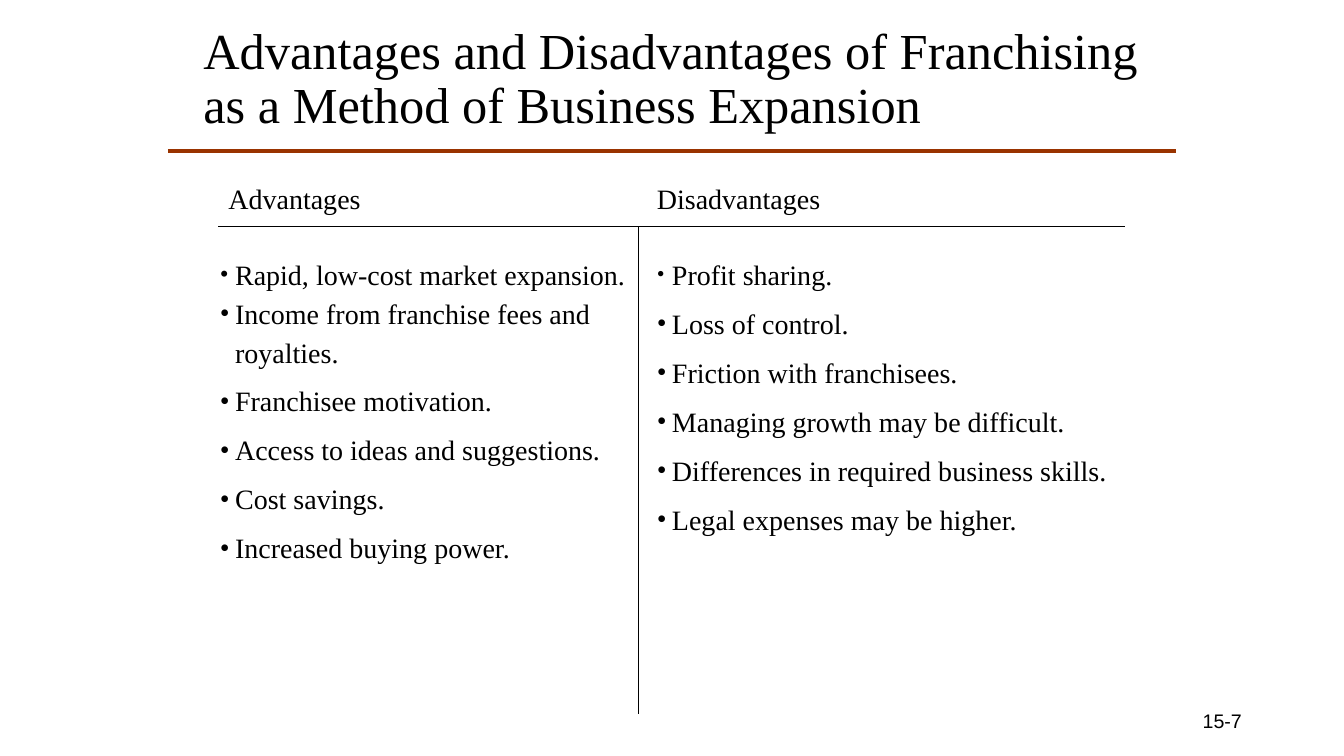
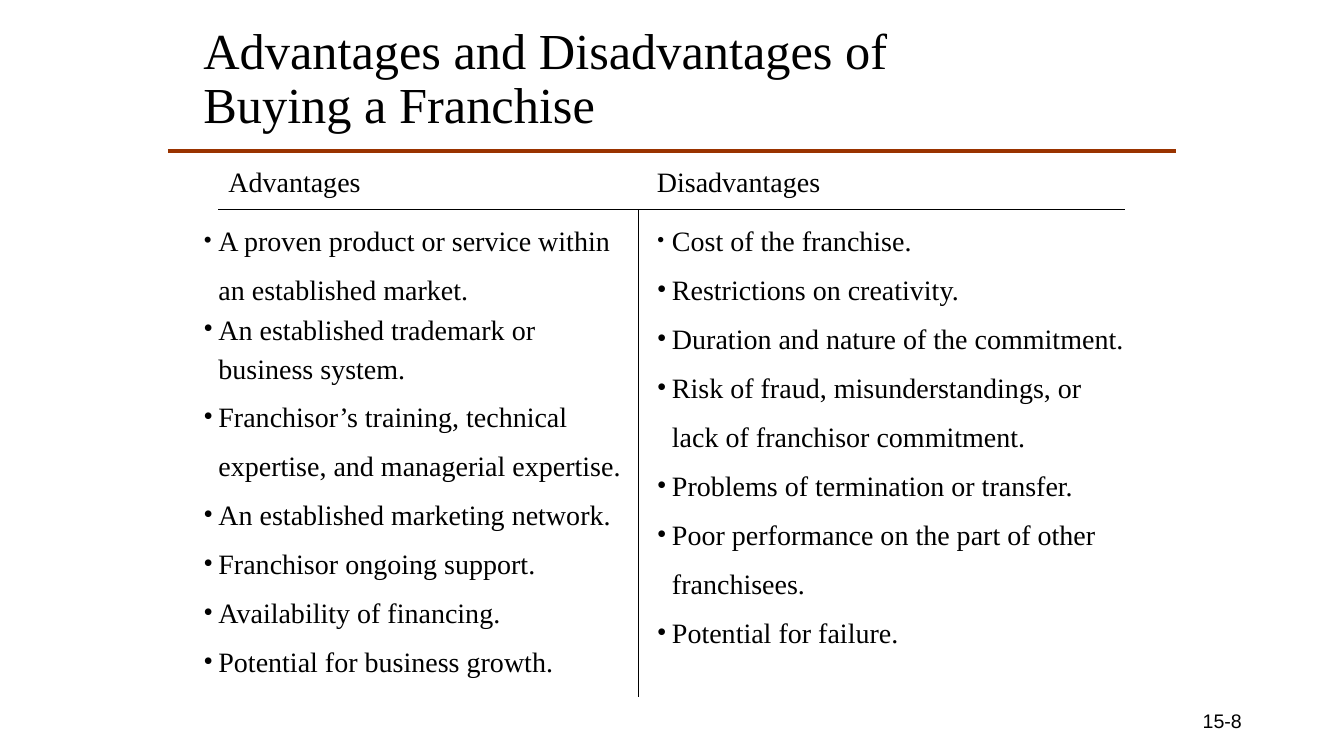
from lxml import etree
from pptx import Presentation
from pptx import util as u
from pptx.dml.color import RGBColor
from pptx.enum import shapes, text
from pptx.oxml.ns import qn

HUES = {"ink": "000000", "band": "993300"}
SERIF, SANS = "Times New Roman", "Arial"
HEADS = ("Advantages", "Disadvantages")
TIGHT = 0.7
HANG = 0.38
SPLIT = 16.09

PAGES = [
    {
        "title": "Advantages and Disadvantages of Franchising as a Method of Business Expansion",
        "number": "15-7",
        "rule": 5.71,
        "top": 6.35,
        "left": 5.29,
        "lists": (
            [
                ("Rapid, low-cost market expansion.",),
                ("Income from franchise fees and", "royalties."),
                ("Franchisee motivation.",),
                ("Access to ideas and suggestions.",),
                ("Cost savings.",),
                ("Increased buying power.",),
            ],
            [
                ("Profit sharing.",),
                ("Loss of control.",),
                ("Friction with franchisees.",),
                ("Managing growth may be difficult.",),
                ("Differences in required business skills.",),
                ("Legal expenses may be higher.",),
            ],
        ),
        "tight": ("Income from franchise fees and",),
    },
    {
        "title": "Advantages and Disadvantages of \vBuying a Franchise",
        "number": "15-8",
        "rule": 5.29,
        "top": 5.5,
        "left": 4.87,
        "lists": (
            [
                ("A proven product or service within", "an established market."),
                ("An established trademark or", "business system."),
                ("Franchisor’s training, technical", "expertise, and managerial expertise."),
                ("An established marketing network.",),
                ("Franchisor ongoing support.",),
                ("Availability of financing.",),
                ("Potential for business growth.",),
            ],
            [
                ("Cost of the franchise.",),
                ("Restrictions on creativity.",),
                ("Duration and nature of the commitment.",),
                ("Risk of fraud, misunderstandings, or", "lack of franchisor commitment."),
                ("Problems of termination or transfer.",),
                ("Poor performance on the part of other", "franchisees."),
                ("Potential for failure.",),
            ],
        ),
        "tight": ("An established trademark or",),
    },
]


def place(shape, left, top, width, height, anchor=text.MSO_ANCHOR.TOP):
    shape.left, shape.top = u.Cm(left), u.Cm(top)
    shape.width, shape.height = u.Cm(width), u.Cm(height)
    frame = shape.text_frame
    frame.word_wrap = True
    frame.auto_size = text.MSO_AUTO_SIZE.NONE
    frame.vertical_anchor = anchor
    return frame


def write(para, words, size=20, font=SERIF, hue="ink", align=text.PP_ALIGN.LEFT,
          space=1.0, before=0):
    para.text = words
    para.alignment = align
    para.line_spacing = space
    para.space_before = u.Pt(before)
    for run in para.runs:
        run.font.size = u.Pt(size)
        run.font.name = font
        run.font.bold = False
        run.font.color.rgb = RGBColor.from_string(HUES[hue])


def mark(para, shown, scale):
    props = para._p.get_or_add_pPr()
    props.set("marL", str(u.Cm(HANG)))
    props.set("indent", str(-u.Cm(HANG) if shown else 0))
    if not shown:
        etree.SubElement(props, qn("a:buNone"))
        return
    etree.SubElement(props, qn("a:buSzPct"), val=str(scale * 1000))
    etree.SubElement(props, qn("a:buFont"), typeface=SERIF)
    etree.SubElement(props, qn("a:buChar"), char="•")


def fill(frame, items, tight, scale):
    first = True
    for lines in items:
        space = TIGHT if lines[0] in tight else 1.0
        for row, words in enumerate(lines):
            para = frame.paragraphs[0] if first else frame.add_paragraph()
            mark(para, row == 0, scale if first else 100)
            write(para, words, space=space, before=0 if first else 11)
            first = False


def rule(slide, start, end, hue="ink", width=0.75):
    line = slide.shapes.add_connector(
        shapes.MSO_CONNECTOR.STRAIGHT, *(u.Cm(n) for n in start + end))
    line.line.color.rgb = RGBColor.from_string(HUES[hue])
    line.line.width = u.Pt(width)
    etree.SubElement(line._element.spPr, qn("a:effectLst"))


def build(deck, page):
    slide = deck.slides.add_slide(deck.slide_layouts.get_by_name("Comparison"))
    holders = slide.placeholders
    middle = text.MSO_ANCHOR.MIDDLE

    frame = place(slide.shapes.title, 4.87, 0.43, 24.34, 3.18, middle)
    write(frame.paragraphs[0], page["title"], size=36, space=0.9)

    box = slide.shapes.add_textbox(0, 0, 0, 0)
    frame = place(box, 23.93, 17.65, 7.62, 1.02, middle)
    write(frame.paragraphs[0], page["number"], size=14, font=SANS, align=text.PP_ALIGN.RIGHT)

    level = page["rule"]
    rule(slide, (4.23, 3.81), (29.63, 3.81), "band", 3)
    rule(slide, (5.5, level), (28.36, level))
    rule(slide, (SPLIT, level), (SPLIT, level + 12.28))

    left, right = page["left"], 16.3
    columns = ((5.5, left, SPLIT - left, 90), (right, right, 12.5, 80))
    for side, (head, start, width, scale) in enumerate(columns):
        frame = place(holders[1 + 2 * side], head, level - 1.27, 6.77, 1.11)
        write(frame.paragraphs[0], HEADS[side])
        frame = place(holders[2 + 2 * side], start, page["top"], width, 11.5)
        fill(frame, page["lists"][side], page["tight"], scale)


def main():
    deck = Presentation()
    deck.slide_width, deck.slide_height = u.Cm(33.87), u.Cm(19.05)
    for page in PAGES:
        build(deck, page)
    deck.save("out.pptx")


if __name__ == "__main__":
    main()
